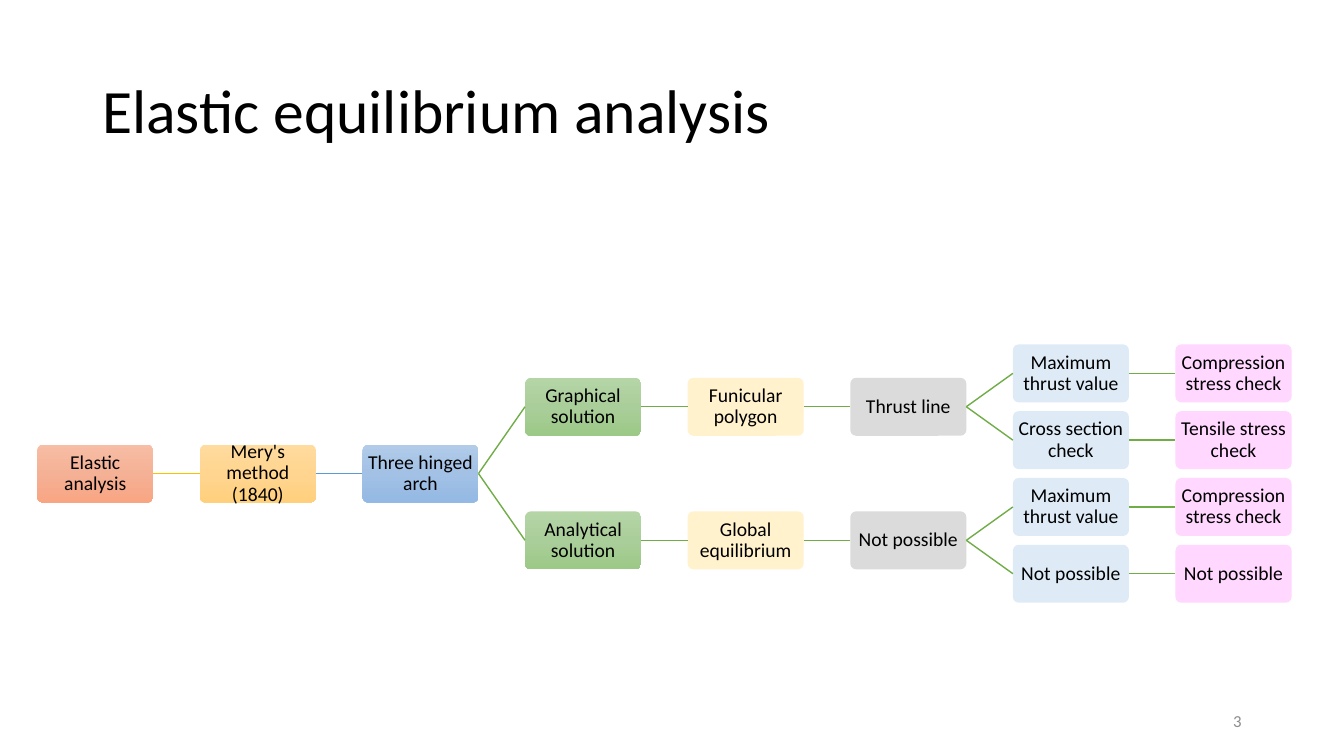
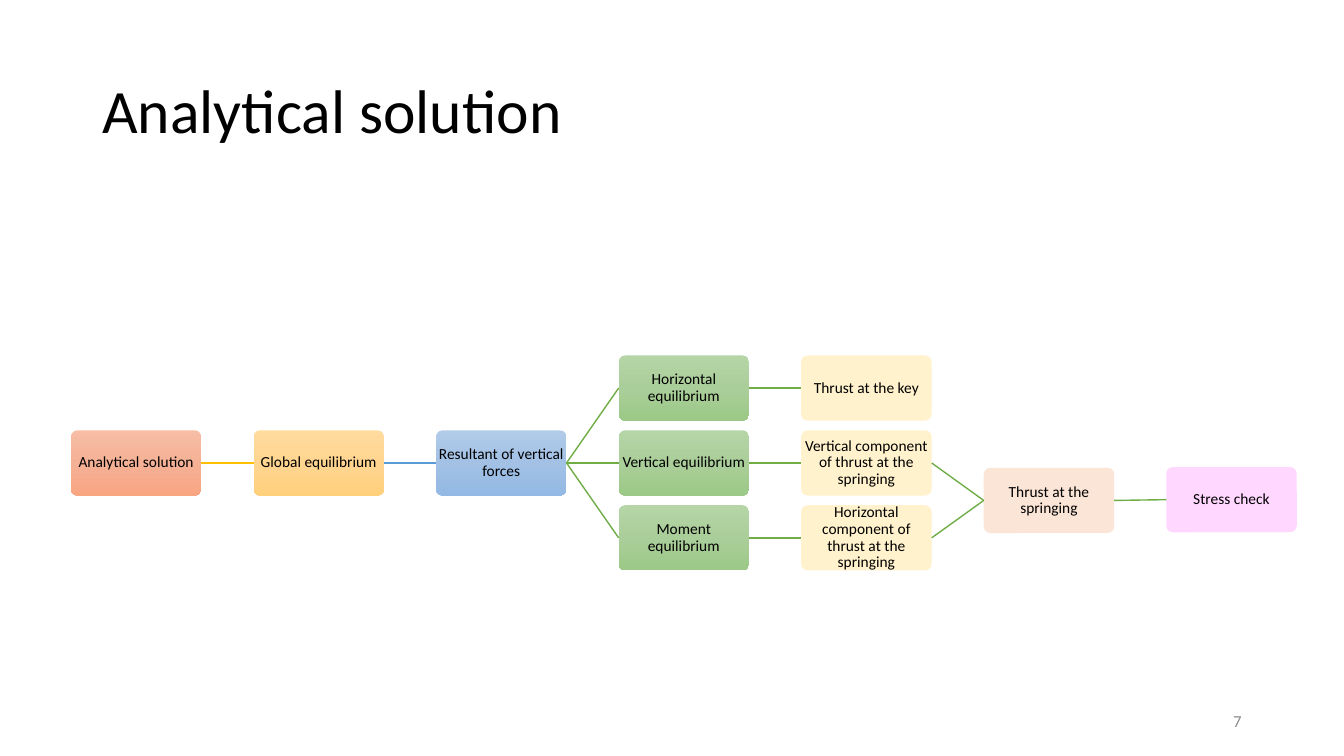
import copy
import pptx
import pptx.util
import pptx.dml.color
import pptx.enum.shapes
import pptx.enum.text
import pptx.oxml
import pptx.oxml.ns

Pt = pptx.util.Pt
ALIGN = pptx.enum.text.PP_ALIGN

FONT = "Calibri"
INK = "000000"
PAGE_NUMBER = "8C8C8C"
CORAL = ("F7BDA5", "F5B196", "F8A582")
AMBER = ("FFDB9E", "FFD590", "FFD07C")
BLUE = ("B1CBE9", "A3C1E5", "93B9E4")
GREEN = ("B5D5A7", "AACE9A", "9CC987")
CREAM = ("FFF2CC",)
GREY = ("DBDBDB",)
ICE = ("DEEBF7",)
PEACH = ("FBE5D6",)
PINK = ("FFD7FF",)
FIRST_LINKS = {1: "FFC000", 2: "5B9BD5"}
OTHER_LINKS = "70AD47"

TITLE_BOX = (66, 28.8, 828, 104.4)
NUMBER_BOX = (678, 500.5, 216, 28.8)

ELASTIC = {
    "title": "Elastic equilibrium analysis",
    "number": "3",
    "box": (26.6, 246),
    "node": (82.9, 41.4),
    "pitch": (116.15, 47.7),
    "size": 14,
    "tones": (CORAL, AMBER, BLUE, GREEN, CREAM, GREY, ICE, PINK),
    "nodes": (
        ("Elastic analysis", 0, 1.5, ()),
        ("Mery's method (1840)", 1, 1.5, (0,)),
        ("Three hinged arch", 2, 1.5, (1,)),
        ("Graphical solution", 3, 0.5, (2,)),
        ("Funicular polygon", 4, 0.5, (3,)),
        ("Thrust line", 5, 0.5, (4,)),
        ("Maximum thrust value", 6, 0, (5,)),
        ("Compression stress check", 7, 0, (6,)),
        ("Cross section check", 6, 1, (5,)),
        ("Tensile stress check", 7, 1, (8,)),
        ("Analytical solution", 3, 2.5, (2,)),
        ("Global equilibrium", 4, 2.5, (10,)),
        ("Not possible", 5, 2.5, (11,)),
        ("Maximum thrust value", 6, 2, (12,)),
        ("Compression stress check", 7, 2, (13,)),
        ("Not possible", 6, 3, (12,)),
        ("Not possible", 7, 3, (15,)),
    ),
}

ANALYTICAL = {
    "title": "Analytical solution",
    "number": "7",
    "box": (50.7, 253.9),
    "node": (93.2, 46.6),
    "pitch": (130.4, 53.5),
    "size": 11,
    "tones": (CORAL, AMBER, BLUE, GREEN, CREAM, PEACH, PINK),
    "nodes": (
        ("Analytical solution", 0, 1, ()),
        ("Global equilibrium", 1, 1, (0,)),
        ("Resultant of vertical forces", 2, 1, (1,)),
        ("Horizontal equilibrium", 3, 0, (2,)),
        ("Thrust at the key", 4, 0, (3,)),
        ("Vertical equilibrium", 3, 1, (2,)),
        ("Vertical component of thrust at the springing", 4, 1, (5,)),
        ("Moment equilibrium", 3, 2, (2,)),
        ("Horizontal component of thrust at the springing", 4, 2, (7,)),
        ("Thrust at the springing", 5, 1.5, (6, 8)),
        ("Stress check", 6, 1.49, (9,)),
    ),
}


def colour(hex_value):
    return pptx.dml.color.RGBColor.from_string(hex_value)


def write(shape, text, size=12, ink=INK, align=ALIGN.LEFT, spacing=None, inset=None):
    frame = shape.text_frame
    frame.word_wrap = True
    frame.vertical_anchor = pptx.enum.text.MSO_ANCHOR.MIDDLE
    if inset is not None:
        frame.margin_left = frame.margin_right = Pt(inset)
        frame.margin_top = frame.margin_bottom = Pt(inset)
    paragraph = frame.paragraphs[0]
    paragraph.alignment = align
    paragraph.line_spacing = spacing
    run = paragraph.add_run()
    run.text = text
    run.font.name = FONT
    run.font.size = Pt(size)
    run.font.color.rgb = colour(ink)


def paint(shape, tone):
    if len(tone) == 1:
        shape.fill.solid()
        shape.fill.fore_color.rgb = colour(tone[0])
        return
    shape.fill.gradient()
    shape.fill.gradient_angle = 270
    stops = shape._element.spPr.find(".//" + pptx.oxml.ns.qn("a:gsLst"))
    stops.insert(1, copy.deepcopy(stops[0]))
    for stop, position, shade in zip(shape.fill.gradient_stops, (0, 0.5, 1), tone):
        stop.position = position
        stop.color.rgb = colour(shade)


def add_node(slide, text, box, tone, size):
    node = slide.shapes.add_shape(
        pptx.enum.shapes.MSO_SHAPE.ROUNDED_RECTANGLE, *map(Pt, box))
    node.adjustments[0] = 0.1
    node.shadow.inherit = False
    node.line.fill.background()
    paint(node, tone)
    write(node, text, size=size, align=ALIGN.CENTER, spacing=0.9, inset=size / 20)
    return node


def add_link(slide, parent, child, shade):
    link = slide.shapes.add_connector(
        pptx.enum.shapes.MSO_CONNECTOR.STRAIGHT, 0, 0, 0, 0)
    link.begin_connect(parent, 3)
    link.end_connect(child, 1)
    link.line.color.rgb = colour(shade)
    link.line.width = Pt(1)
    link._element.spPr.append(
        pptx.oxml.parse_xml("<a:effectLst %s/>" % pptx.oxml.ns.nsdecls("a")))


def add_tree(slide, tree):
    left, top = tree["box"]
    column_pitch, row_pitch = tree["pitch"]
    placed = []
    for text, column, row, parents in tree["nodes"]:
        box = (left + column * column_pitch, top + row * row_pitch, *tree["node"])
        node = add_node(slide, text, box, tree["tones"][column], tree["size"])
        for parent in parents:
            add_link(slide, placed[parent], node, FIRST_LINKS.get(column, OTHER_LINKS))
        placed.append(node)


def add_tree_slide(deck, tree):
    slide = deck.slides.add_slide(deck.slide_layouts[6])
    title = slide.shapes.add_textbox(*map(Pt, TITLE_BOX))
    write(title, tree["title"], size=44, spacing=0.9)
    add_tree(slide, tree)
    number = slide.shapes.add_textbox(*map(Pt, NUMBER_BOX))
    write(number, tree["number"], ink=PAGE_NUMBER, align=ALIGN.RIGHT)


def main():
    deck = pptx.Presentation()
    deck.slide_width = Pt(960)
    deck.slide_height = Pt(540)
    for tree in (ELASTIC, ANALYTICAL):
        add_tree_slide(deck, tree)
    deck.save("out.pptx")


if __name__ == "__main__":
    main()
